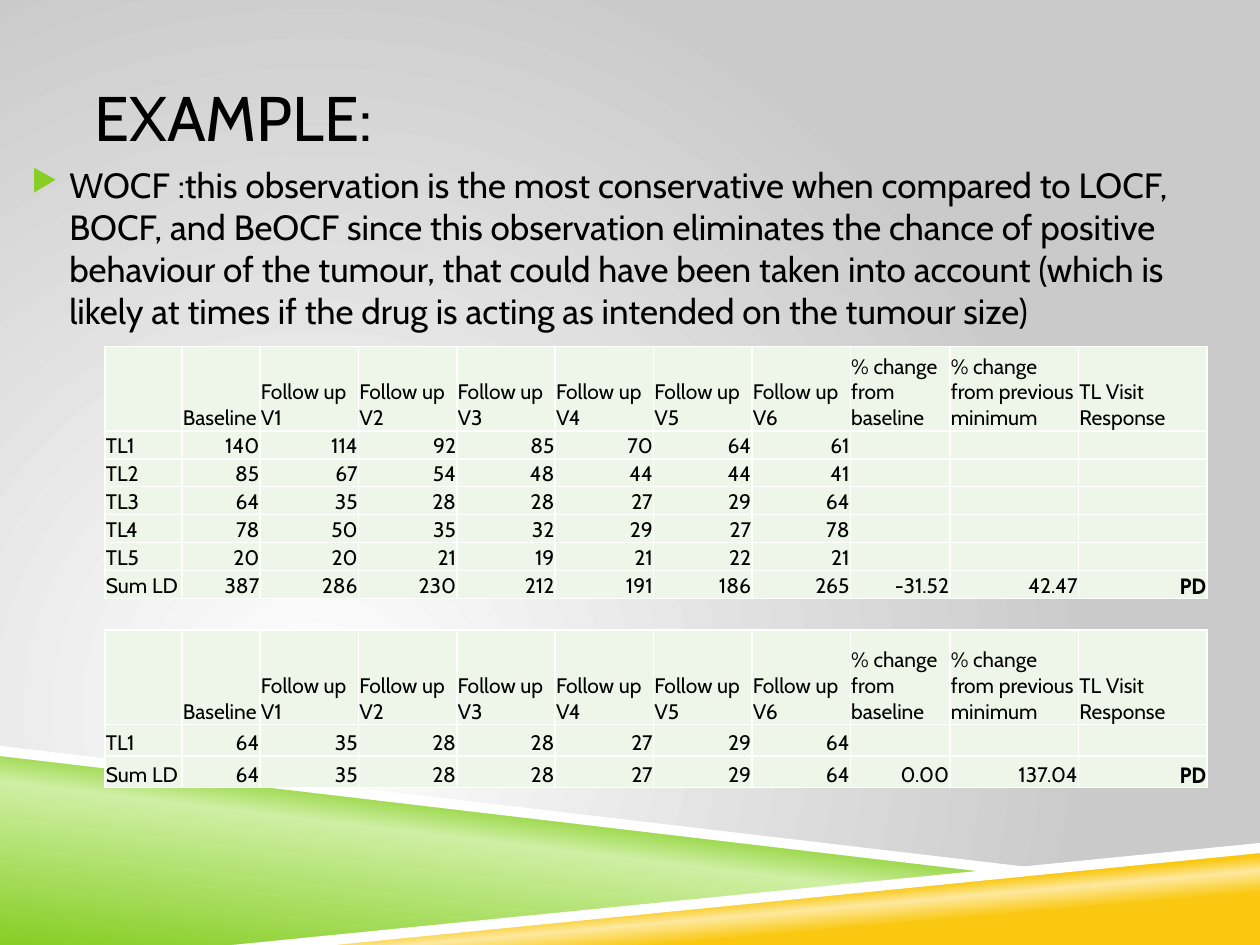
from dataclasses import dataclass

from lxml.etree import SubElement
from pptx import Presentation
from pptx.dml.color import RGBColor
from pptx.enum.text import MSO_ANCHOR as Anchor, MSO_AUTO_SIZE as AutoSize, PP_ALIGN as Align
from pptx.oxml.ns import qn
from pptx.util import Inches, Pt

TITLE = "EXAMPLE:"
BODY = (
    "WOCF :this observation is the most conservative when compared to LOCF, BOCF, and "
    "BeOCF since this observation eliminates the chance of positive behaviour of the "
    "tumour, that could have been taken into account (which is likely at times if the "
    "drug is acting as intended on the tumour size)"
)
HEADER = ["", "Baseline", *(f"Follow up V{visit}" for visit in range(1, 7)),
          "% change from baseline", "% change from previous minimum", "TL Visit Response"]
NO_RESULT = ("", "", "")
ALL_LESIONS = [
    ("TL1", 140, 114, 92, 85, 70, 64, 61, *NO_RESULT),
    ("TL2", 85, 67, 54, 48, 44, 44, 41, *NO_RESULT),
    ("TL3", 64, 35, 28, 28, 27, 29, 64, *NO_RESULT),
    ("TL4", 78, 50, 35, 32, 29, 27, 78, *NO_RESULT),
    ("TL5", 20, 20, 21, 19, 21, 22, 21, *NO_RESULT),
    ("Sum LD", 387, 286, 230, 212, 191, 186, 265, "-31.52", "42.47", "PD"),
]
ONE_LESION = [
    ("TL1", 64, 35, 28, 28, 27, 29, 64, *NO_RESULT),
    ("Sum LD", 64, 35, 28, 28, 27, 29, 64, "0.00", "137.04", "PD"),
]


@dataclass(frozen=True)
class Theme:
    font: str = "Cabin"
    accent_font: str = "TeX Gyre Adventor"
    title_size: int = 36
    body_size: int = 20
    table_size: int = 12
    ink: str = "000000"
    white: str = "FFFFFF"
    grey: str = "CACACA"
    green: str = "86CE24"
    light_green: str = "CFEFA4"
    amber: str = "FAC810"
    light_amber: str = "FDE99F"
    cell: str = "EDF6E8"


THEME = Theme()
WIDTH, HEIGHT = 10, 7.5
TABLE_LEFT, TABLE_WIDTH = WIDTH / 12, WIDTH * 0.875
COLUMN_WEIGHTS = [0.61, 0.62, *[0.78] * 6, 0.79, 1.02, 1.02]
# rows, top, total height, header row height
TABLES = [(ALL_LESIONS, 2.75, 2, 0.67), (ONE_LESION, 5, 1.25, 0.75)]

GREEN_FADE = [(0, THEME.green), (52, THEME.light_green), (66, THEME.green)]
AMBER_FADE = [(28, THEME.amber), (40, THEME.light_amber), (48, THEME.amber)]
# outline, gradient stops (None is plain white), gradient angle
BANDS = [
    ([(0, 5.97), (7.92, 6.92), (2, HEIGHT), (0, HEIGHT)], GREEN_FADE, 277),
    ([(1.98, HEIGHT), (WIDTH, 6.72), (WIDTH, HEIGHT)], AMBER_FADE, 265),
    ([(0, 5.92), (0, 6), (7.9, 6.93), (8.32, 6.9)], None, None),
    ([(WIDTH, 6.69), (1.84, HEIGHT), (2.66, HEIGHT), (WIDTH, 6.77)], None, None),
]


def set_all(target, values):
    for name, value in values.items():
        setattr(target, name, value)


def set_font(font, size, face=THEME.font, bold=False):
    set_all(font, {"name": face, "size": Pt(size), "bold": bold})
    font.color.rgb = RGBColor.from_string(THEME.ink)


def set_solid(fill, color):
    fill.solid()
    fill.fore_color.rgb = RGBColor.from_string(color)


def set_gradient(owner, fill, stops, angle=None):
    """Fill with (percent, colour) stops; without an angle the fade is circular."""
    fill.gradient()
    gradient = next(owner._element.iter(qn("a:gradFill")))
    for child in list(gradient):
        gradient.remove(child)
    stop_list = SubElement(gradient, qn("a:gsLst"))
    for percent, color in stops:
        stop = SubElement(stop_list, qn("a:gs"), pos=str(percent * 1000))
        SubElement(stop, qn("a:srgbClr"), val=color)
    if angle is None:
        circle = SubElement(gradient, qn("a:path"), {"path": "circle"})
        SubElement(circle, qn("a:fillToRect"), l="50000", t="100000", r="100000", b="50000")
    else:
        SubElement(gradient, qn("a:lin"), ang=str(angle * 60000), scaled="0")


def add_band(page, outline, stops, angle):
    # freeform points are rounded to whole units, so the unit is one EMU
    points = [(Inches(x), Inches(y)) for x, y in outline]
    builder = page.shapes.build_freeform(*points[0])
    builder.add_line_segments(points[1:], close=True)
    band = builder.convert_to_shape()
    band.shadow.inherit = False
    band.line.fill.background()
    if stops:
        set_gradient(band, band.fill, stops, angle)
    else:
        set_solid(band.fill, THEME.white)


def write_box(box, place, text, size, anchor):
    left, top, width, height = map(Inches, place)
    set_all(box, {"left": left, "top": top, "width": width, "height": height})
    frame = box.text_frame
    set_all(frame, {"word_wrap": True, "auto_size": AutoSize.NONE, "vertical_anchor": anchor,
                    "margin_left": 0, "margin_right": 0,
                    "margin_top": Inches(0.05), "margin_bottom": Inches(0.05)})
    para = frame.paragraphs[0]
    para.alignment = Align.LEFT
    span = para.add_run()
    span.text = text
    set_font(span.font, size)
    return para


def add_bullet(para):
    properties = para._p.get_or_add_pPr()
    properties.set("marL", str(Inches(0.38)))
    properties.set("indent", str(-Inches(0.3)))
    color = SubElement(properties, qn("a:buClr"))
    SubElement(color, qn("a:srgbClr"), val=THEME.green)
    SubElement(properties, qn("a:buSzPct"), val="85000")
    SubElement(properties, qn("a:buChar"), char="▶")


def format_cell(cell, text, is_number):
    properties = cell._tc.get_or_add_tcPr()
    for side in ("a:lnL", "a:lnR", "a:lnT", "a:lnB"):
        border = SubElement(properties, qn(side), w=str(Pt(1)))
        SubElement(SubElement(border, qn("a:solidFill")), qn("a:srgbClr"), val=THEME.white)
    set_solid(cell.fill, THEME.cell)
    edge = Pt(0.5)
    set_all(cell, {"vertical_anchor": Anchor.BOTTOM, "margin_left": edge,
                   "margin_right": edge, "margin_top": edge, "margin_bottom": 0})
    para = cell.text_frame.paragraphs[0]
    para.alignment = Align.RIGHT if is_number else Align.LEFT
    if text == "":
        # an empty cell keeps the table's type size, so its row does not grow
        SubElement(para._p, qn("a:endParaRPr"), sz=str(THEME.table_size * 100))
        return
    span = para.add_run()
    span.text = str(text)
    is_response = text == "PD"
    set_font(span.font, THEME.table_size,
             THEME.accent_font if is_response else THEME.font, is_response)


def add_lesion_table(page, values, top, height, header_height):
    rows = [HEADER, *values]
    row_height = (height - header_height) / len(values)
    frame = page.shapes.add_table(len(rows), len(HEADER), Inches(TABLE_LEFT), Inches(top),
                                  Inches(TABLE_WIDTH), Inches(height))
    table = frame.table
    set_all(table, {"first_row": False, "horz_banding": False})
    for column, weight in zip(table.columns, COLUMN_WEIGHTS):
        column.width = Inches(TABLE_WIDTH * weight / sum(COLUMN_WEIGHTS))
    for r, row in enumerate(rows):
        table.rows[r].height = Inches(row_height if r else header_height)
        for c, text in enumerate(row):
            format_cell(table.cell(r, c), text, is_number=r > 0 and c > 0)


def main():
    deck = Presentation()
    set_all(deck, {"slide_width": Inches(WIDTH), "slide_height": Inches(HEIGHT)})
    page = deck.slides.add_slide(deck.slide_layouts.get_by_name("Title Only"))
    set_gradient(page, page.background.fill, [(0, THEME.white), (100, THEME.grey)])
    for band in BANDS:
        add_band(page, *band)
    write_box(page.shapes.title, (0.75, 0.3, 8.5, 1.25), TITLE, THEME.title_size, Anchor.MIDDLE)
    body = page.shapes.add_textbox(0, 0, 0, 0)
    add_bullet(write_box(body, (0.17, 1.25, 9.67, 4.58), BODY, THEME.body_size, Anchor.TOP))
    for table in TABLES:
        add_lesion_table(page, *table)
    deck.save("out.pptx")


if __name__ == "__main__":
    main()
